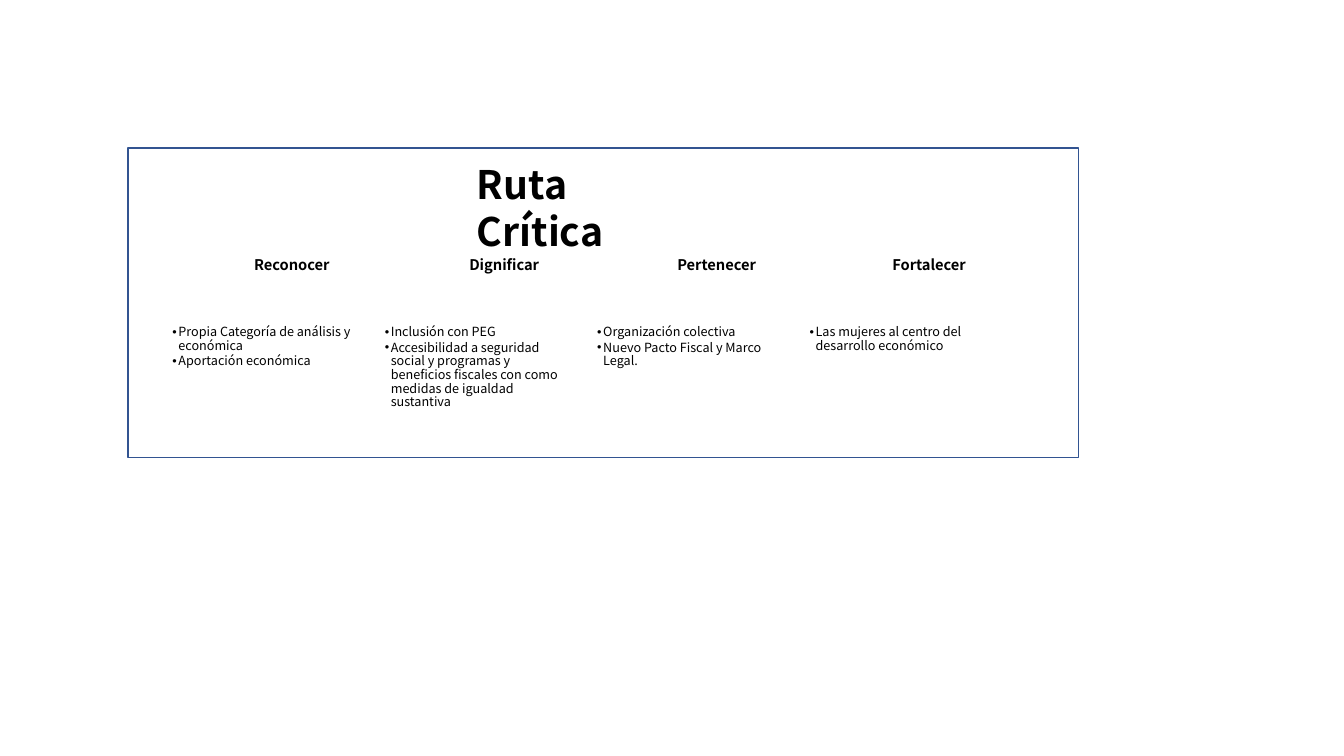
from dataclasses import dataclass

from lxml import etree
from pptx import Presentation
from pptx.dml.color import RGBColor
from pptx.enum.shapes import MSO_SHAPE
from pptx.enum.text import MSO_ANCHOR, MSO_AUTO_SIZE, PP_ALIGN
from pptx.oxml.ns import qn
from pptx.shapes.autoshape import Shape
from pptx.slide import Slide
from pptx.text.text import TextFrame, _Paragraph
from pptx.util import Inches, Pt

RECTANGLE, CHEVRON = MSO_SHAPE.RECTANGLE, MSO_SHAPE.CHEVRON
TOP, MIDDLE = MSO_ANCHOR.TOP, MSO_ANCHOR.MIDDLE
LEFT, CENTER = PP_ALIGN.LEFT, PP_ALIGN.CENTER
NO_AUTOSIZE = MSO_AUTO_SIZE.NONE

WHITE = RGBColor(0xFF, 0xFF, 0xFF)
BLACK = RGBColor(0x00, 0x00, 0x00)
FRAME_BLUE = RGBColor(0x32, 0x54, 0x91)
FONT = "Noto Sans CJK KR"

FIRST_LEFT, LAST_LEFT = 1.71, 8.03
STEP_TOP, STEP_HEIGHT = 2.17, 0.94
HEADING_OFFSET = 0.47
BULLET_INDENT = Inches(0.06)


@dataclass(frozen=True)
class Step:
    heading: str
    actions: tuple[str, ...]


STEPS = (
    Step("Reconocer", ("Propia Categoría de análisis y económica", "Aportación económica")),
    Step("Dignificar", (
        "Inclusión con PEG",
        "Accesibilidad a seguridad social y programas y beneficios fiscales "
        "con como medidas de igualdad sustantiva",
    )),
    Step("Pertenecer", ("Organización colectiva", "Nuevo Pacto Fiscal y Marco Legal.")),
    Step("Fortalecer", ("Las mujeres al centro del desarrollo económico",)),
)


def place(shape: Shape, left: float, top: float, width: float, height: float) -> None:
    shape.left, shape.top = Inches(left), Inches(top)
    shape.width, shape.height = Inches(width), Inches(height)


def set_frame(frame: TextFrame, anchor: MSO_ANCHOR, left: float, top: float,
              right: float, bottom: float) -> None:
    frame.word_wrap = True
    frame.auto_size = NO_AUTOSIZE
    frame.vertical_anchor = anchor
    frame.margin_left, frame.margin_top = Inches(left), Inches(top)
    frame.margin_right, frame.margin_bottom = Inches(right), Inches(bottom)


def format_paragraph(paragraph: _Paragraph, size: float, bold: bool,
                     alignment: PP_ALIGN, spacing: float) -> None:
    paragraph.alignment = alignment
    paragraph.line_spacing = spacing
    paragraph.space_before = Pt(0)
    for run in paragraph.runs:
        run.font.name = FONT
        run.font.size = Pt(size)
        run.font.bold = bold
        run.font.color.rgb = BLACK


def add_white_shape(slide: Slide, kind: MSO_SHAPE, left: float, top: float,
                    width: float, height: float) -> Shape:
    shape = slide.shapes.add_shape(
        kind, Inches(left), Inches(top), Inches(width), Inches(height))
    shape.shadow.inherit = False
    shape.fill.solid()
    shape.fill.fore_color.rgb = WHITE
    shape.line.fill.background()
    return shape


def add_step(slide: Slide, step: Step, action_list: Shape, left: float) -> None:
    add_white_shape(slide, CHEVRON, left, STEP_TOP, 2.34, STEP_HEIGHT)

    heading = slide.shapes.add_textbox(
        Inches(left + HEADING_OFFSET), Inches(STEP_TOP), Inches(1.4), Inches(STEP_HEIGHT))
    set_frame(heading.text_frame, MIDDLE, 0.05, 0.02, 0.02, 0.02)
    heading.text_frame.text = step.heading
    format_paragraph(heading.text_frame.paragraphs[0], 10.5, True, CENTER, 0.9)

    place(action_list, left, 3.23, 1.87, 1.28)
    set_frame(action_list.text_frame, TOP, 0, 0, 0, 0)
    action_list.text_frame.text = "\n".join(step.actions)
    for action in action_list.text_frame.paragraphs:
        action.level = 1
        format_paragraph(action, 9, False, LEFT, 0.9)
        action.space_after = Pt(1.35)
        properties = action._p.get_or_add_pPr()
        properties.set("marL", str(BULLET_INDENT))
        properties.set("indent", str(-BULLET_INDENT))
        etree.SubElement(properties, qn("a:buChar"), char="•")
    bring_to_front(slide, action_list)


def bring_to_front(slide: Slide, shape: Shape) -> None:
    slide.shapes._spTree.append(shape._element)


def main() -> None:
    presentation = Presentation()
    presentation.slide_width = Inches(13.33)
    presentation.slide_height = Inches(7.5)
    slide = presentation.slides.add_slide(presentation.slide_layouts.get_by_name("Comparison"))
    title, *action_lists = slide.placeholders

    route_frame = add_white_shape(slide, RECTANGLE, 1.27, 1.47, 9.43, 3.07)
    route_frame.line.color.rgb = FRAME_BLUE
    route_frame.line.width = Pt(1)

    pitch = (LAST_LEFT - FIRST_LEFT) / (len(STEPS) - 1)
    for index, (step, action_list) in enumerate(zip(STEPS, action_lists)):
        add_step(slide, step, action_list, FIRST_LEFT + index * pitch)

    place(title, 4.63, 1.54, 2.37, 0.57)
    title.fill.solid()
    title.fill.fore_color.rgb = WHITE
    set_frame(title.text_frame, TOP, 0.1, 0.05, 0.2, 0.05)
    title.text_frame.text = "Ruta Crítica"
    format_paragraph(title.text_frame.paragraphs[0], 28, True, LEFT, 1.0)
    bring_to_front(slide, title)

    presentation.save("out.pptx")


if __name__ == "__main__":
    main()
